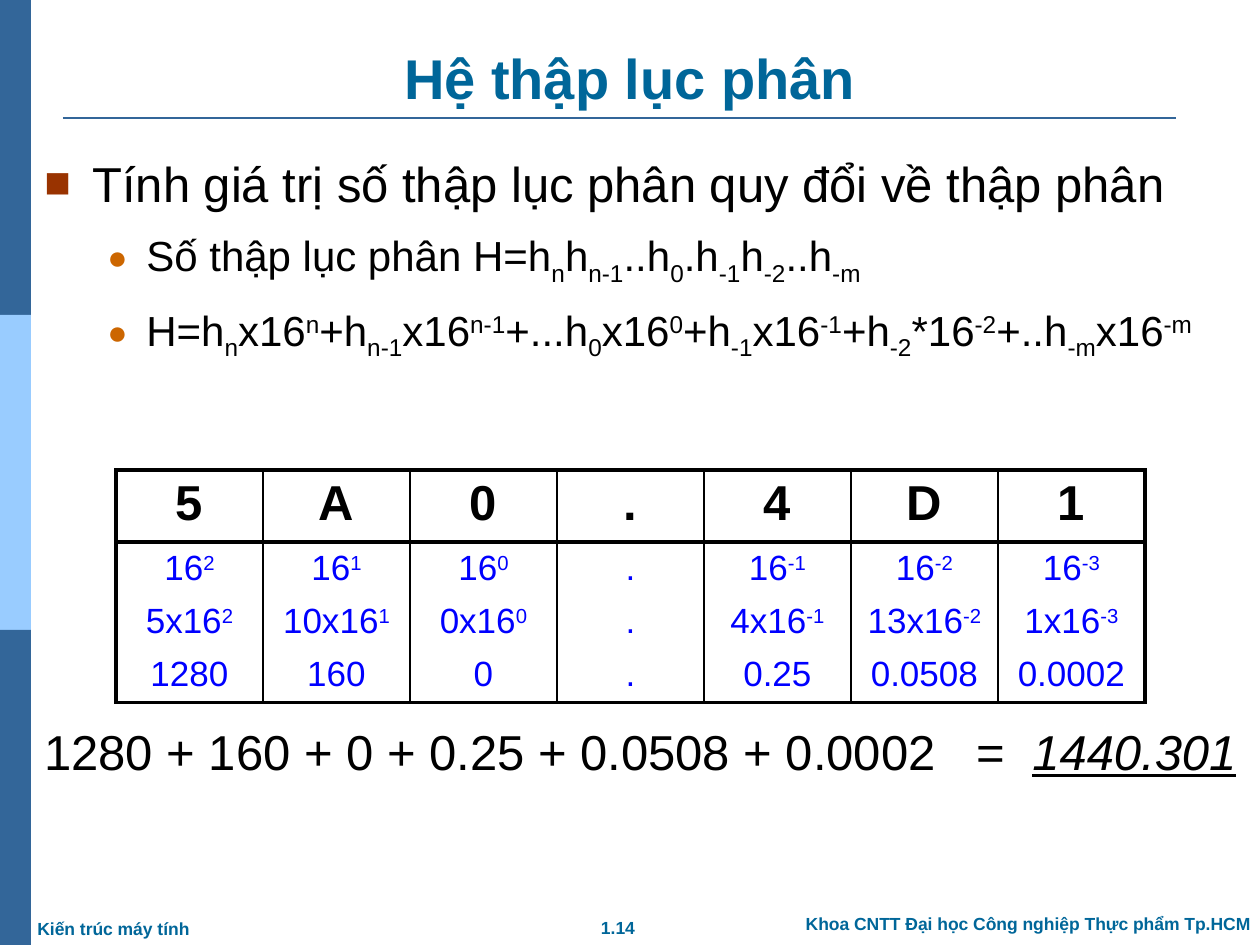
"""Builds a slide on converting hexadecimal numbers to decimal."""
from lxml import etree
from pptx import Presentation
from pptx.dml.color import RGBColor
from pptx.enum.shapes import MSO_CONNECTOR, MSO_SHAPE
from pptx.enum.text import MSO_ANCHOR, PP_ALIGN
from pptx.oxml.ns import qn
from pptx.util import Pt

SCALE = 914400 // 126
LEFT, CENTER = PP_ALIGN.LEFT, PP_ALIGN.CENTER
TOP, BOTTOM = MSO_ANCHOR.TOP, MSO_ANCHOR.BOTTOM
RECTANGLE, STRAIGHT = MSO_SHAPE.RECTANGLE, MSO_CONNECTOR.STRAIGHT
FONT = "Arial"
BLACK, BLUE, TEAL, NAVY, SKY = "000000", "0000FF", "006699", "336699", "99CCFF"

TITLE = "Hệ thập lục phân"
# Shifted text is written {_low} or {^high}.
BODY = [
    (0, "Tính giá trị số thập lục phân quy đổi về thập phân"),
    (1, "Số thập lục phân H=h{_n}h{_n-1}..h{_0}.h{_-1}h{_-2}..h{_-m}"),
    (1, "H=h{_n}x16{^n}+h{_n-1}x16{^n-1}+...h{_0}x16{^0}+h{_-1}x16{^-1}"
        "+h{_-2}*16{^-2}+..h{_-m}x16{^-m}"),
]
LEVELS = [
    {"size": 28, "margin": 48, "hang": 48, "mark": "■", "color": "993300", "percent": 90},
    {"size": 24, "margin": 102, "hang": 39, "mark": "●", "color": "CC6600", "percent": 80},
]
SUM = "1280 + 160 + 0 + 0.25 + 0.0508 + 0.0002\t=\t"
TOTAL = "1440.301"
SUM_TABS = [932, 988]
FOOTERS = [
    ("1.14", (587, 911, 62, 34), CENTER, False),
    ("Khoa CNTT Đại học Công nghiệp Thực phẩm Tp.HCM", (788, 907, 480, 34), CENTER, True),
    ("Kiến trúc máy tính", (25, 912, 179, 34), LEFT, False),
]
BARS = [NAVY, SKY, NAVY]
TABLE_LEFT, COLUMN = 116, 147
THICK, THIN = 2.25, 1
TABLES = [
    {"top": 470, "height": 72, "size": 28, "bold": True, "color": BLACK,
     "above": THICK, "below": THICK, "cells": ["5", "A", "0", ".", "4", "D", "1"]},
    {"top": 543, "height": 54, "size": 20, "bold": False, "color": BLUE,
     "above": 0, "below": 0,
     "cells": ["16{^2}", "16{^1}", "16{^0}", ".", "16{^-1}", "16{^-2}", "16{^-3}"]},
    {"top": 596, "height": 54, "size": 20, "bold": False, "color": BLUE,
     "above": 0, "below": 0,
     "cells": ["5x16{^2}", "10x16{^1}", "0x16{^0}", ".",
               "4x16{^-1}", "13x16{^-2}", "1x16{^-3}"]},
    {"top": 648, "height": 54, "size": 20, "bold": False, "color": BLUE,
     "above": 0, "below": THICK,
     "cells": ["1280", "160", "0", ".", "0.25", "0.0508", "0.0002"]},
]


def px(*lengths):
    return [length * SCALE for length in lengths]


def rgb(value):
    return RGBColor.from_string(value)


def add_element(parent, tag, **attributes):
    element = etree.SubElement(parent, qn(tag))
    for name, value in attributes.items():
        element.set(name, str(value))
    return element


def add_span(para, text, size, color, bold=False):
    span = para.add_run()
    span.text = text
    font = span.font
    font.name, font.size, font.bold = FONT, Pt(size), bold
    font.color.rgb = rgb(color)
    return span


def add_marked_text(para, text, size, color, bold=False):
    for index, piece in enumerate(text.replace("}", "{").split("{")):
        if index % 2:
            span = add_span(para, piece[1:], size, color, bold)
            baseline = {"_": "-25000", "^": "30000"}[piece[0]]
            span.font._element.set("baseline", baseline)
        elif piece:
            add_span(para, piece, size, color, bold)


def add_box(page, place, wrap=True, anchor=TOP):
    frame = page.shapes.add_textbox(*px(*place)).text_frame
    frame.word_wrap = wrap
    frame.vertical_anchor = anchor
    return frame


def add_label(page, text, place, size, align, wrap=True, anchor=TOP):
    para = add_box(page, place, wrap, anchor).paragraphs[0]
    para.alignment = align
    add_span(para, text, size, TEAL, True)


def add_body(page):
    frame = add_box(page, (32, 147, 1228, 311))
    for index, (depth, text) in enumerate(BODY):
        para = frame.add_paragraph() if index else frame.paragraphs[0]
        level = LEVELS[depth]
        para.level = depth
        properties = para._p.get_or_add_pPr()
        properties.set("marL", str(level["margin"] * SCALE))
        properties.set("indent", str(-level["hang"] * SCALE))
        add_element(add_element(properties, "a:buClr"), "a:srgbClr", val=level["color"])
        add_element(properties, "a:buSzPct", val=level["percent"] * 1000)
        add_element(properties, "a:buFont", typeface=FONT)
        add_element(properties, "a:buChar", char=level["mark"])
        if index:
            para.space_before = Pt(10)
        add_marked_text(para, text, level["size"], BLACK)


def set_border(cell, side, width):
    line = add_element(cell._tc.get_or_add_tcPr(), f"a:ln{side}", w=int(Pt(width)))
    if width:
        add_element(add_element(line, "a:solidFill"), "a:srgbClr", val=BLACK)
    else:
        add_element(line, "a:noFill")


def add_digit_table(page, row):
    count = len(row["cells"])
    place = px(TABLE_LEFT, row["top"], COLUMN * count, row["height"])
    table = page.shapes.add_table(1, count, *place).table
    table.first_row = table.horz_banding = False
    for index, text in enumerate(row["cells"]):
        table.columns[index].width = COLUMN * SCALE
        cell = table.cell(0, index)
        set_border(cell, "L", THIN if index else THICK)
        set_border(cell, "R", THIN if index < count - 1 else THICK)
        set_border(cell, "T", row["above"])
        set_border(cell, "B", row["below"])
        cell.fill.background()
        para = cell.text_frame.paragraphs[0]
        para.alignment = CENTER
        add_marked_text(para, text, row["size"], row["color"], row["bold"])


def add_sum(page):
    para = add_box(page, (32, 722, 1228, 73)).paragraphs[0]
    tabs = add_element(para._p.get_or_add_pPr(), "a:tabLst")
    for position in SUM_TABS:
        add_element(tabs, "a:tab", pos=position * SCALE, algn="l")
    para.line_spacing = 0.9
    add_span(para, SUM, 28, BLACK)
    total = add_span(para, TOTAL, 28, BLACK)
    total.font.italic = total.font.underline = True


def main():
    deck = Presentation()
    deck.slide_width, deck.slide_height = px(1260, 945)
    page = deck.slides.add_slide(deck.slide_layouts[6])
    for index, color in enumerate(BARS):
        bar = page.shapes.add_shape(RECTANGLE, *px(0, 315 * index, 31, 315))
        bar.shadow.inherit = False
        bar.fill.solid()
        bar.fill.fore_color.rgb = rgb(color)
        bar.line.fill.background()
    rule = page.shapes.add_connector(STRAIGHT, *px(63, 118, 1176, 118))
    rule.line.color.rgb = rgb(NAVY)
    rule.line.width = Pt(1.5)
    add_element(rule._element.spPr, "a:effectLst")
    for text, place, align, wrap in FOOTERS:
        add_label(page, text, place, 10, align, wrap)
    add_label(page, TITLE, (63, 38, 1134, 79), 32, CENTER, anchor=BOTTOM)
    add_body(page)
    for row in TABLES:
        add_digit_table(page, row)
    add_sum(page)
    deck.save("out.pptx")


if __name__ == "__main__":
    main()
